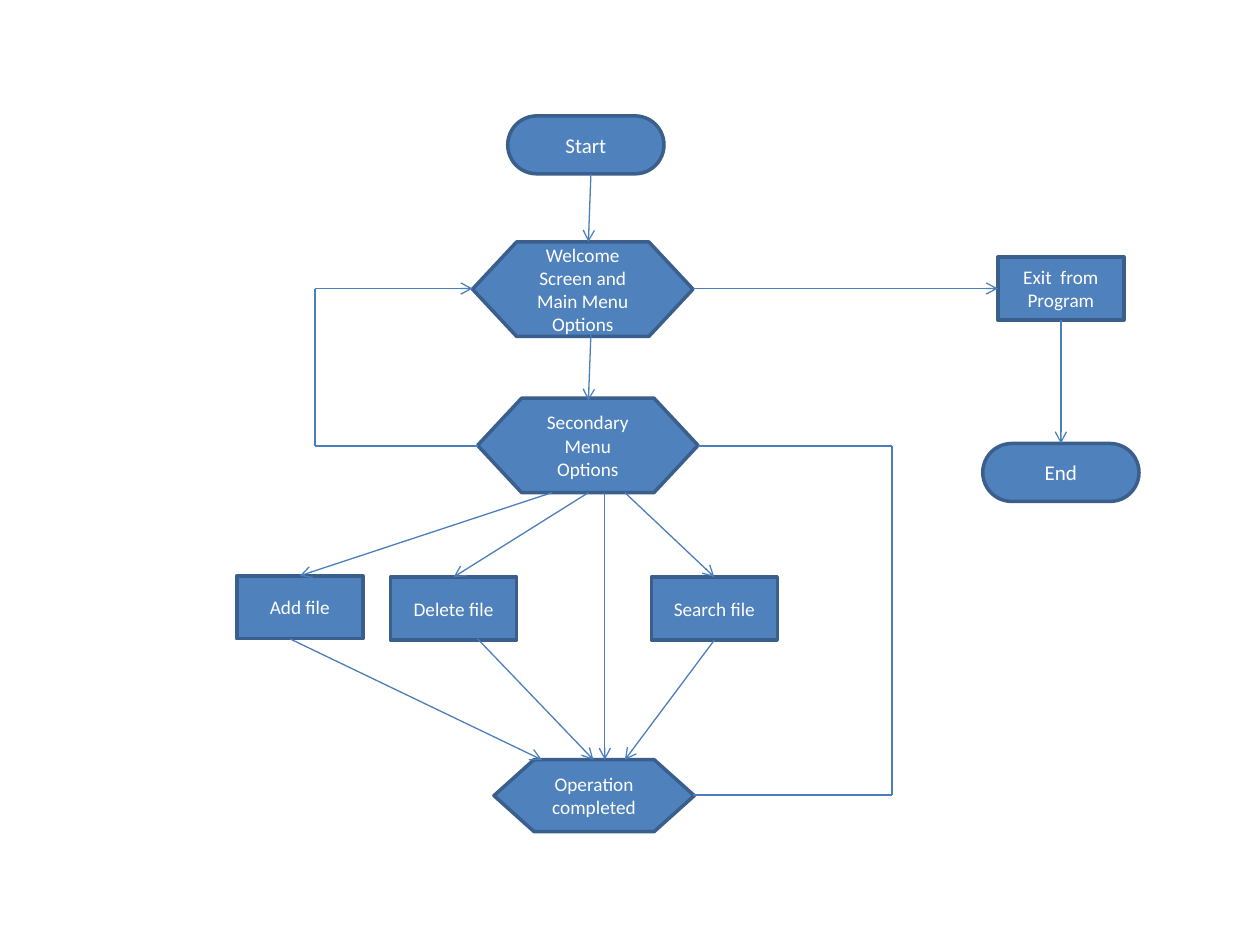
from dataclasses import dataclass

import pptx
import pptx.dml.color
import pptx.enum.shapes
import pptx.enum.text
import pptx.oxml
import pptx.oxml.ns
import pptx.util
from pptx.util import Inches

SHAPES = pptx.enum.shapes.MSO_SHAPE


@dataclass(frozen=True)
class Theme:
    font: str = "Calibri"
    fill: str = "4F81BD"
    outline: str = "3A5F8C"
    connector: str = "4B7EBC"
    text: str = "FFFFFF"
    terminal_size: float = 12
    step_size: float = 11
    outline_width: float = 2
    connector_width: float = 0.75


def color(value):
    return pptx.dml.color.RGBColor.from_string(value)


class Flowchart:
    def __init__(self, slide, theme):
        self.slide = slide
        self.theme = theme

    def node(self, kind, text, left, top, width, height, size):
        shape = self.slide.shapes.add_shape(
            kind, Inches(left), Inches(top), Inches(width), Inches(height))
        shape.shadow.inherit = False
        shape.fill.solid()
        shape.fill.fore_color.rgb = color(self.theme.fill)
        shape.line.color.rgb = color(self.theme.outline)
        shape.line.width = pptx.util.Pt(self.theme.outline_width)
        frame = shape.text_frame
        frame.word_wrap = True
        frame.vertical_anchor = pptx.enum.text.MSO_ANCHOR.MIDDLE
        frame.text = text
        for paragraph in frame.paragraphs:
            paragraph.alignment = pptx.enum.text.PP_ALIGN.CENTER
            for run in paragraph.runs:
                run.font.name = self.theme.font
                run.font.size = pptx.util.Pt(size)
                run.font.color.rgb = color(self.theme.text)
        return shape

    def terminal(self, text, left, top):
        shape = self.node(SHAPES.ROUNDED_RECTANGLE, text, left, top,
                          1.24, 0.46, self.theme.terminal_size)
        shape.adjustments[0] = 0.5

    def process(self, text, left, top):
        self.node(SHAPES.RECTANGLE, text, left, top, 1, 0.5,
                  self.theme.step_size)

    def preparation(self, text, left, top, width=1.75, height=0.75):
        self.node(SHAPES.FLOWCHART_PREPARATION, text, left, top,
                  width, height, self.theme.step_size)

    def line(self, start, end, arrow=False):
        connector = self.slide.shapes.add_connector(
            pptx.enum.shapes.MSO_CONNECTOR.STRAIGHT,
            Inches(start[0]), Inches(start[1]), Inches(end[0]), Inches(end[1]))
        connector.line.color.rgb = color(self.theme.connector)
        connector.line.width = pptx.util.Pt(self.theme.connector_width)
        if arrow:
            tail = pptx.oxml.parse_xml(
                '<a:tailEnd %s type="arrow"/>' % pptx.oxml.ns.nsdecls("a"))
            connector.line._get_or_add_ln().append(tail)
        properties = connector._element.spPr
        properties.append(pptx.oxml.parse_xml(
            "<a:effectLst %s/>" % pptx.oxml.ns.nsdecls("a")))

    def route(self, *points, arrow=False):
        last = len(points) - 2
        for index, (start, end) in enumerate(zip(points, points[1:])):
            self.line(start, end, arrow and index == last)


presentation = pptx.Presentation()
presentation.slide_width = Inches(10)
presentation.slide_height = Inches(7.5)
slide = presentation.slides.add_slide(presentation.slide_layouts[6])
chart = Flowchart(slide, Theme())

chart.terminal("Start", 4.03, 0.92)
chart.preparation("Welcome Screen and Main Menu Options", 3.75, 1.92)
chart.preparation("Secondary Menu Options", 3.79, 3.16)
chart.process("Add file", 1.88, 4.57)
chart.process("Delete file", 3.1, 4.58)
chart.process("Search file", 5.17, 4.58)
chart.preparation("Operation completed", 3.92, 6.03, 1.59, 0.57)
chart.process("Exit  from\nProgram", 7.92, 2.04)
chart.terminal("End", 7.8, 3.52)

welcome_y, secondary_y, completed_y = 2.29, 3.54, 6.31
secondary_bottom, completed_top = 3.91, 6.03

arrows = [
    ((4.69, 1.38), (4.67, 1.92)),
    ((4.69, 2.65), (4.67, 3.18)),
    ((5.5, welcome_y), (7.92, welcome_y)),
    ((8.42, 2.54), (8.42, 3.52)),
    ((4.38, secondary_bottom), (2.38, 4.57)),
    ((4.67, secondary_bottom), (3.6, 4.58)),
    ((4.8, secondary_bottom), (4.8, completed_top)),
    ((4.96, secondary_bottom), (5.67, 4.58)),
    ((2.3, 5.07), (4.3, completed_top)),
    ((3.79, 5.07), (4.71, completed_top)),
    ((5.67, 5.08), (4.96, completed_top)),
]
for start, end in arrows:
    chart.line(start, end, arrow=True)

chart.route((3.79, secondary_y), (2.5, secondary_y),
            (2.5, welcome_y), (3.75, welcome_y), arrow=True)
chart.route((5.5, completed_y), (7.08, completed_y),
            (7.08, secondary_y), (5.54, secondary_y))

presentation.save("out.pptx")
